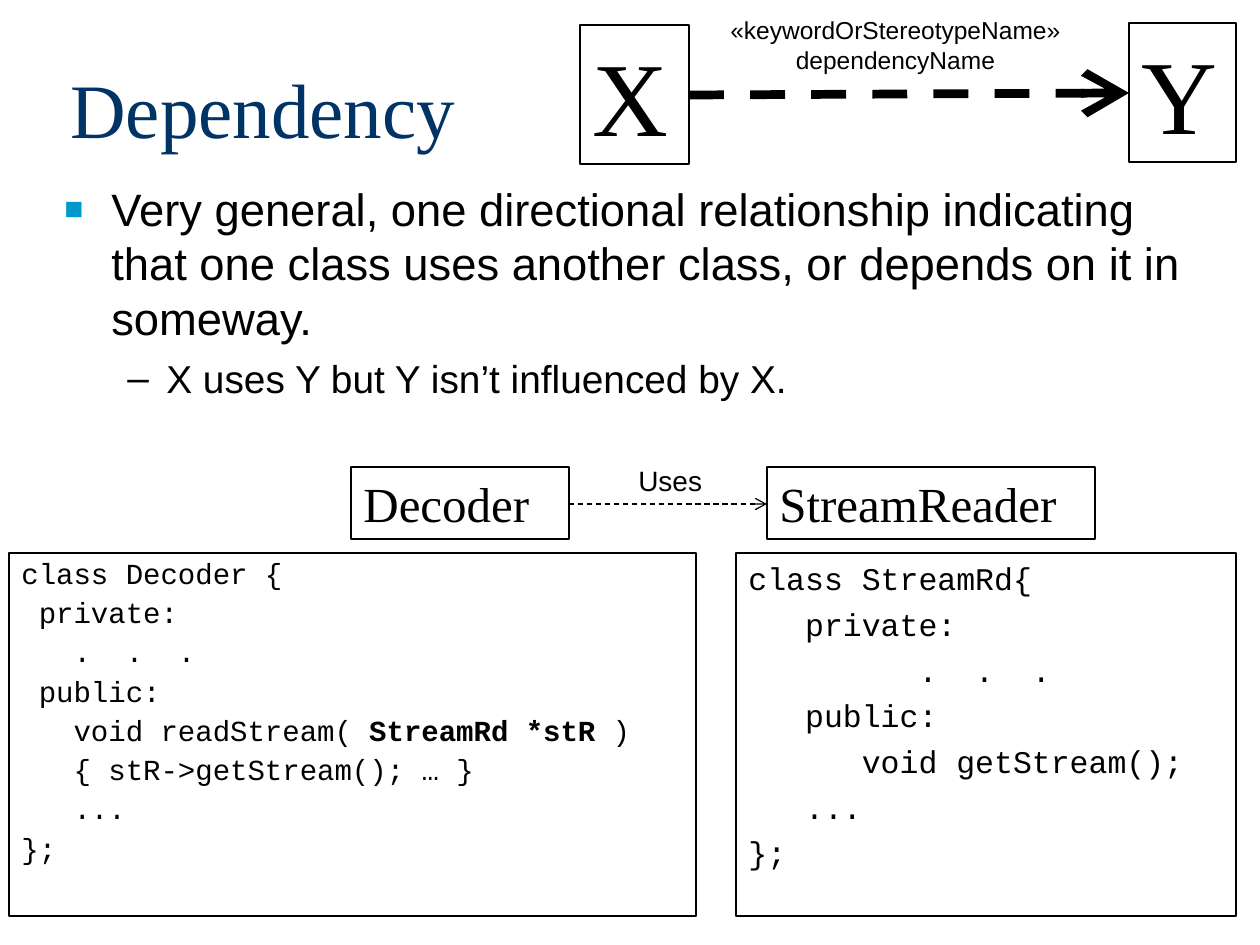
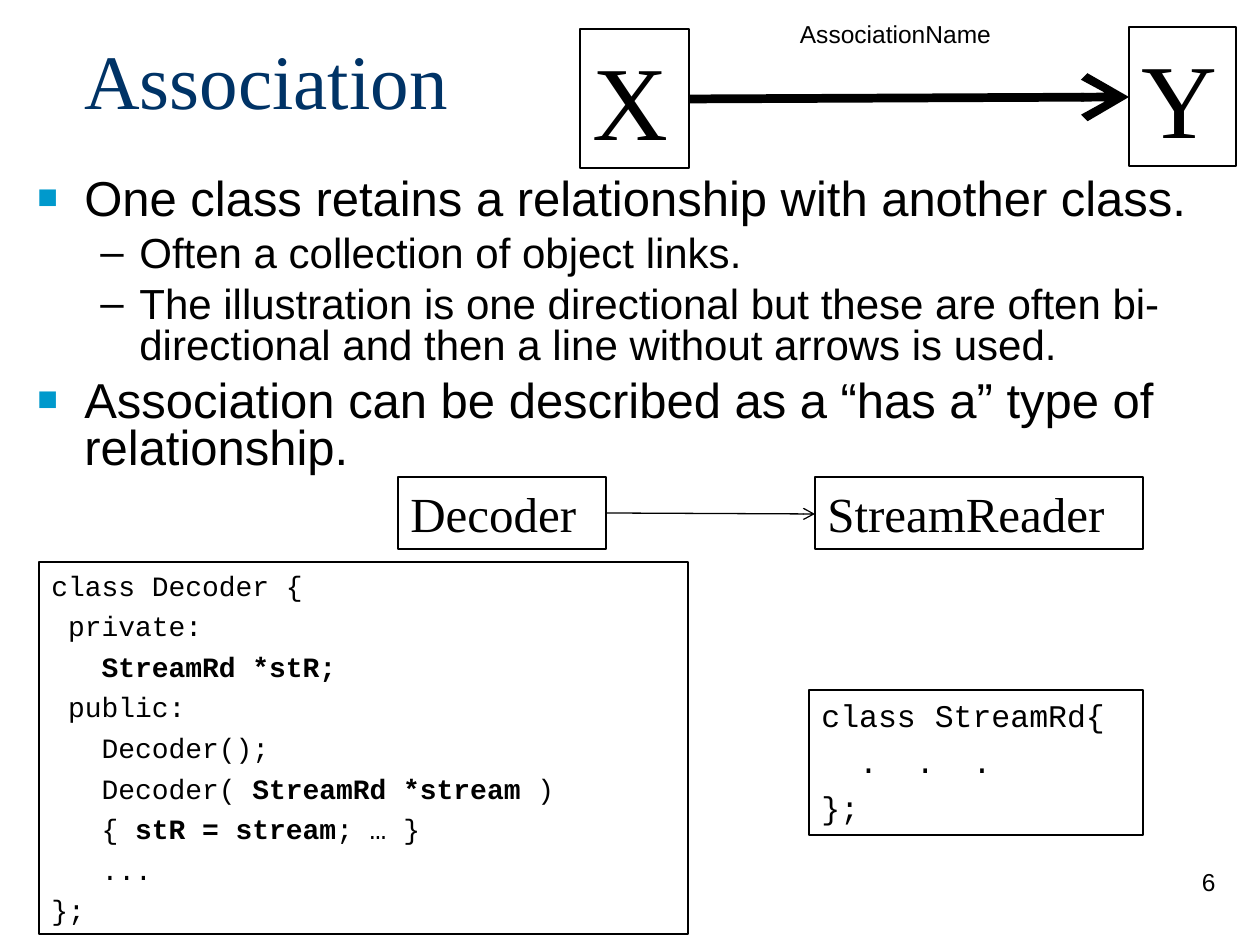
from lxml import etree
from pptx import Presentation
from pptx.dml.color import RGBColor
from pptx.enum.dml import MSO_LINE
from pptx.enum.shapes import MSO_CONNECTOR, MSO_SHAPE
from pptx.enum.text import MSO_ANCHOR, PP_ALIGN
from pptx.oxml.ns import qn
from pptx.util import Emu, Pt

RECTANGLE = MSO_SHAPE.RECTANGLE
STRAIGHT = MSO_CONNECTOR.STRAIGHT
DASH = MSO_LINE.DASH
TOP, MIDDLE = MSO_ANCHOR.TOP, MSO_ANCHOR.MIDDLE
LEFT, CENTER, RIGHT = PP_ALIGN.LEFT, PP_ALIGN.CENTER, PP_ALIGN.RIGHT

PX = 914400 / 126
COLORS = {"text": "000000", "title": "003366", "bullet": "0099CC", "paper": "FFFFFF"}
SANS, SERIF, MONO = "Arial", "Times New Roman", "Courier New"
INDENT = 47
BULLETS = [
    {"char": "■", "color": "bullet", "percent": 70, "margin": INDENT, "hang": INDENT, "before": 7},
    {"char": "–", "color": "text", "percent": 100, "margin": 102, "hang": 39, "before": 6},
]


def add_text(slide, box, paragraphs, size=14, font=SANS, color="text", align=LEFT,
             anchor=TOP, before=0, spacing=None, code=False,
             outline=False, fill=None, level_sizes=None):
    """Add a text box or outlined rectangle. "|" switches bold on and off.

    With level_sizes, each paragraph is a (level, text) pair and gets a bullet.
    """
    place = [Emu(round(length * PX)) for length in box]
    if outline:
        shape = slide.shapes.add_shape(RECTANGLE, *place)
        shape.shadow.inherit = False
        shape.line.color.rgb = RGBColor.from_string(COLORS["text"])
        shape.line.width = Pt(0.75)
        if fill:
            shape.fill.solid()
            shape.fill.fore_color.rgb = RGBColor.from_string(COLORS[fill])
        else:
            shape.fill.background()
    else:
        shape = slide.shapes.add_textbox(*place)
    frame = shape.text_frame
    frame.word_wrap = True
    frame.vertical_anchor = anchor

    for number, text in enumerate(paragraphs):
        paragraph = frame.paragraphs[0] if number == 0 else frame.add_paragraph()
        properties = paragraph._p.get_or_add_pPr()
        text_size, space_before = size, before
        if level_sizes:
            level, text = text
            bullet = BULLETS[level]
            text_size, space_before = level_sizes[level], bullet["before"]
            paragraph.level = level
            properties.set("marL", str(round(bullet["margin"] * PX)))
            properties.set("indent", str(round(-bullet["hang"] * PX)))
            bullet_color = etree.SubElement(properties, qn("a:buClr"))
            etree.SubElement(bullet_color, qn("a:srgbClr"), val=COLORS[bullet["color"]])
            etree.SubElement(properties, qn("a:buSzPct"), val=str(bullet["percent"] * 1000))
            etree.SubElement(properties, qn("a:buFont"), typeface=SANS)
            etree.SubElement(properties, qn("a:buChar"), char=bullet["char"])
        if code:
            properties.set("marL", str(round(INDENT * PX)))
            properties.set("indent", str(round(-INDENT * PX)))
        paragraph.alignment = align
        if number:
            paragraph.space_before = Pt(space_before)
        if spacing:
            paragraph.line_spacing = spacing
        for part, words in enumerate(text.split("|")):
            if words:
                run = paragraph.add_run()
                run.text = words
                run.font.name = font
                run.font.size = Pt(text_size)
                run.font.bold = part % 2 == 1
                run.font.color.rgb = RGBColor.from_string(COLORS[color])


def add_arrow(slide, ends, width, dashed, head="med"):
    connector = slide.shapes.add_connector(
        STRAIGHT, *[Emu(round(length * PX)) for length in ends])
    connector.line.color.rgb = RGBColor.from_string(COLORS["text"])
    connector.line.width = Pt(width)
    if dashed:
        connector.line.dash_style = DASH
    etree.SubElement(connector.line._get_or_add_ln(), qn("a:tailEnd"),
                     type="arrow", w=head, len=head)
    etree.SubElement(connector._element.spPr, qn("a:effectLst"))


SLIDES = [
    {
        "title": "Dependency",
        "title_box": (58, 29, 469, 158),
        "points_box": (52, 175, 1148, 246),
        "points": [
            (0, "Very general, one directional relationship indicating that one class "
                "uses another class, or depends on it in someway."),
            (1, "X uses Y but Y isn’t influenced by X."),
        ],
        "point_sizes": (25.9, 22.2),
        "point_spacing": None,
        "dashed": True,
        "notation_top": 23,
        "notation_label": ["«keywordOrStereotypeName»", "dependencyName"],
        "decoder_box": (351, 467, 218, 72),
        "reader_box": (767, 467, 328, 72),
        "example_arrow": (569, 504, 767, 504),
        "code_fill": "paper",
        "listings": [
            {"box": (9, 553, 687, 363), "size": 16.6, "before": 4.5, "spacing": 0.9,
             "lines": ["class Decoder {",
                       " private:",
                       "   .  .  .",
                       " public:",
                       "   void readStream( |StreamRd *stR| )",
                       "   { stR->getStream(); … }",
                       "   ...",
                       "};"]},
            {"box": (736, 553, 500, 363), "size": 18, "before": 4.5, "spacing": None,
             "lines": ["class StreamRd{",
                       "   private:",
                       "         .  .  .",
                       "   public:",
                       "      void getStream();",
                       "   ...",
                       "};"]},
        ],
    },
    {
        "title": "Association",
        "title_box": (72, 23, 410, 112),
        "points_box": (25, 173, 1191, 340),
        "points": [
            (0, "One class retains a relationship with another class."),
            (1, "Often a collection of object links."),
            (1, "The illustration is one directional but these are often bi-directional "
                "and then a line without arrows is used."),
            (0, "Association can be described as a “has a” type of relationship."),
        ],
        "point_sizes": (28, 24),
        "point_spacing": 0.8,
        "dashed": False,
        "notation_top": 27,
        "notation_label": ["AssociationName"],
        "decoder_box": (398, 477, 208, 72),
        "reader_box": (815, 477, 328, 72),
        "example_arrow": (606, 513, 815, 514),
        "code_fill": None,
        "listings": [
            {"box": (39, 562, 649, 372), "size": 16, "before": 4, "spacing": None,
             "lines": ["class Decoder {",
                       " private:",
                       "   |StreamRd *stR;|",
                       " public:",
                       "   Decoder();",
                       "   Decoder( |StreamRd *stream| )",
                       "   { |stR = stream|; … }",
                       "   ...",
                       "};"]},
            {"box": (809, 690, 334, 145), "size": 18, "before": 4.5, "spacing": None,
             "lines": ["class StreamRd{", "  .  .  .", "};"]},
        ],
    },
]

presentation = Presentation()
presentation.slide_width = Emu(round(1260 * PX))
presentation.slide_height = Emu(round(945 * PX))
blank_layout = presentation.slide_layouts[6]

for content in SLIDES:
    slide = presentation.slides.add_slide(blank_layout)
    add_text(slide, content["title_box"], [content["title"]], size=44, font=SERIF,
             color="title", anchor=MIDDLE)
    add_text(slide, content["points_box"], content["points"],
             level_sizes=content["point_sizes"], spacing=content["point_spacing"])

    # General notation: X points to Y
    top = content["notation_top"]
    for name, box in (("X", (580, top + 2, 109, 139)), ("Y", (1129, top, 107, 139))):
        add_text(slide, box, [name], size=60, font=SERIF, outline=True)
    add_arrow(slide, (689, top + 72, 1129, top + 70), 5, content["dashed"], head="lg")
    label = content["notation_label"]
    add_text(slide, (696, top - 14, 399, 14 + 29 * len(label)), label, align=CENTER)

    # Example: Decoder points to StreamReader, with the code of both below
    for name, box in (("Decoder", content["decoder_box"]),
                      ("StreamReader", content["reader_box"])):
        add_text(slide, box, [name], size=28, font=SERIF, outline=True)
    add_arrow(slide, content["example_arrow"], 0.75, content["dashed"])
    for listing in content["listings"]:
        add_text(slide, listing["box"], listing["lines"], size=listing["size"], font=MONO,
                 before=listing["before"], spacing=listing["spacing"], code=True,
                 outline=True, fill=content["code_fill"])

dependency_slide, association_slide = presentation.slides
add_text(dependency_slide, (626, 457, 110, 47), ["Uses"], size=16)
add_text(association_slide, (966, 861, 262, 63), ["6"], align=RIGHT)

presentation.save("out.pptx")
